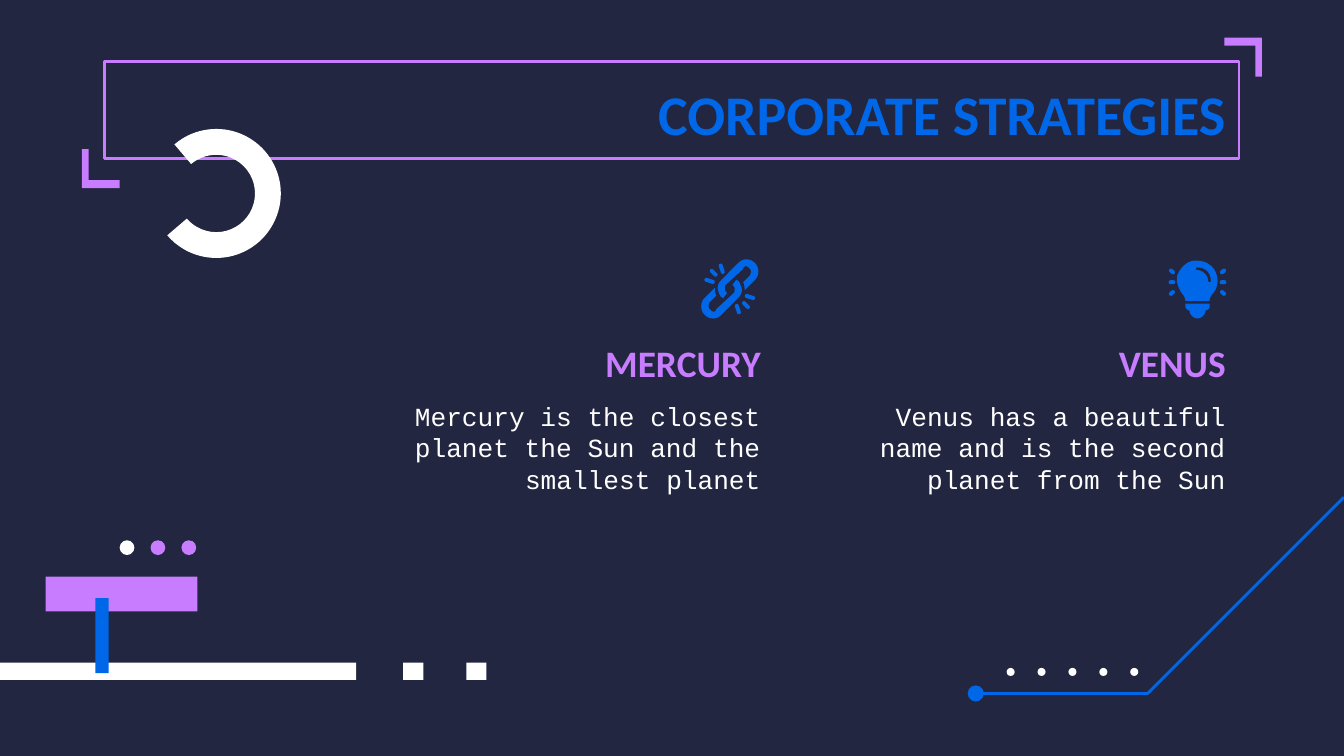
from dataclasses import dataclass

from pptx import Presentation
from pptx.dml.color import RGBColor
from pptx.enum.shapes import MSO_SHAPE
from pptx.enum.text import MSO_ANCHOR, PP_ALIGN
from pptx.util import Inches, Pt

RECT, OVAL = MSO_SHAPE.RECTANGLE, MSO_SHAPE.OVAL
ROUNDED, ARC = MSO_SHAPE.ROUNDED_RECTANGLE, MSO_SHAPE.BLOCK_ARC
TOP, MIDDLE = MSO_ANCHOR.TOP, MSO_ANCHOR.MIDDLE
RIGHT = PP_ALIGN.RIGHT


@dataclass(frozen=True)
class Theme:
    navy: str = "222640"
    white: str = "FFFFFF"
    violet: str = "C87CFF"
    blue: str = "0068E8"
    head_font: str = "Calibri"
    body_font: str = "Courier New"
    title_size: float = 30
    name_size: float = 20
    body_size: float = 14
    line: float = 1.5


@dataclass(frozen=True)
class Planet:
    left: float
    name: str
    text: str


@dataclass(frozen=True)
class Ray:
    x: float
    y: float
    length: float
    angle: float


# A contour is its start point, then (x, y) lines or six-number Bezier curves.
Contour = list[tuple[float, ...]]

THEME = Theme()
PLANETS = [
    Planet(2.6, "MERCURY", "Mercury is the closest planet the Sun and the smallest planet"),
    Planet(6.06, "VENUS", "Venus has a beautiful name and is the second planet from the Sun"),
]
BRACKET: Contour = [(0.61, 1.11), (0.61, 1.4), (0.89, 1.4), (0.89, 1.34), (0.66, 1.34), (0.66, 1.11)]
FRAME_CENTER = (5, 0.84)
LINK: Contour = [
    (5.48, 2.08), (5.45, 2.12), (5.45, 2.12, 5.45, 2.12, 5.46, 2.13),
    (5.47, 2.14, 5.47, 2.17, 5.46, 2.18), (5.33, 2.3),
    (5.33, 2.31, 5.32, 2.32, 5.31, 2.32), (5.3, 2.32, 5.29, 2.31, 5.28, 2.3),
    (5.27, 2.29, 5.27, 2.27, 5.28, 2.25), (5.33, 2.2),
    (5.32, 2.18, 5.32, 2.16, 5.32, 2.14), (5.24, 2.22),
    (5.21, 2.25, 5.21, 2.31, 5.24, 2.34), (5.26, 2.36, 5.28, 2.37, 5.31, 2.37),
    (5.33, 2.37, 5.35, 2.36, 5.37, 2.34), (5.49, 2.22),
    (5.52, 2.19, 5.53, 2.16, 5.51, 2.12), (5.51, 2.12, 5.51, 2.11, 5.5, 2.1),
    (5.5, 2.1, 5.5, 2.09, 5.49, 2.09), (5.49, 2.09, 5.49, 2.09, 5.48, 2.08),
]
LINK_CENTER = (5.43, 2.15)
LINK_RAYS = [Ray(5.31, 2.03, 0.07, 45), Ray(5.37, 2, 0.08, 72), Ray(5.28, 2.09, 0.08, 18)]
BULB: Contour = [
    (8.91, 1.94), (8.9, 1.94, 8.89, 1.94, 8.88, 1.94), (8.82, 1.95, 8.78, 2, 8.76, 2.05),
    (8.75, 2.1, 8.77, 2.15, 8.8, 2.19), (8.81, 2.2, 8.82, 2.22, 8.82, 2.24), (9, 2.24),
    (9, 2.22, 9.01, 2.2, 9.02, 2.19), (9.05, 2.16, 9.06, 2.12, 9.06, 2.09),
    (9.06, 2, 8.99, 1.94, 8.91, 1.94),
]
GLINT: Contour = [
    (8.91, 1.99), (8.97, 1.99, 9.01, 2.03, 9.01, 2.09), (9.01, 2.09, 9.01, 2.1, 9, 2.1),
    (8.99, 2.1, 8.99, 2.09, 8.99, 2.09), (8.99, 2.05, 8.95, 2.01, 8.91, 2.01),
    (8.9, 2.01, 8.9, 2.01, 8.9, 2), (8.9, 1.99, 8.9, 1.99, 8.91, 1.99),
]
BULB_BASE: Contour = [
    (8.82, 2.26), (8.82, 2.28), (8.82, 2.29, 8.83, 2.31, 8.85, 2.31),
    (8.85, 2.34, 8.88, 2.37, 8.91, 2.37), (8.94, 2.37, 8.97, 2.34, 8.97, 2.31),
    (8.99, 2.31, 9, 2.29, 9, 2.28), (9, 2.26),
]
BULB_CENTER = (8.91, 2.1)
BULB_RAYS = [Ray(8.72, 2.1, 0.05, 0), Ray(8.72, 2.02, 0.05, 40), Ray(8.72, 2.18, 0.05, -40)]


def paint(sp, fill: str | None, line: str | None = None) -> None:
    sp.shadow.inherit = False
    if fill:
        sp.fill.solid()
        sp.fill.fore_color.rgb = RGBColor.from_string(fill)
    else:
        sp.fill.background()
    if line:
        sp.line.color.rgb = RGBColor.from_string(line)
        sp.line.width = Pt(THEME.line)
    else:
        sp.line.fill.background()


def add_preset(s, kind, x: float, y: float, w: float, h: float,
               fill: str | None, line: str | None = None):
    sp = s.shapes.add_shape(kind, Inches(x), Inches(y), Inches(w), Inches(h))
    paint(sp, fill, line)
    return sp


def flatten(contour: Contour, steps: int = 8) -> list[tuple[int, int]]:
    """Turn lines and curves into a list of points in EMU."""
    points = [contour[0]]
    for seg in contour[1:]:
        if len(seg) == 2:
            points.append(seg)
            continue
        ends = [points[-1], seg[:2], seg[2:4], seg[4:]]
        for i in range(1, steps + 1):
            t = i / steps
            weights = ((1 - t) ** 3, 3 * t * (1 - t) ** 2, 3 * t * t * (1 - t), t ** 3)
            points.append(tuple(sum(k * e[a] for k, e in zip(weights, ends)) for a in (0, 1)))
    return [(Inches(x), Inches(y)) for x, y in points]


def half_turn(contour: Contour, center: tuple[float, float]) -> Contour:
    return [tuple(2 * center[i % 2] - v for i, v in enumerate(seg)) for seg in contour]


def add_outline(s, contours: list[Contour], fill: str | None,
                line: str | None = None, close: bool = True) -> None:
    first, *rest = [flatten(c) for c in contours]
    builder = s.shapes.build_freeform(*first[0])
    builder.add_line_segments(first[1:], close=close)
    for points in rest:
        builder.move_to(*points[0])
        builder.add_line_segments(points[1:], close=close)
    paint(builder.convert_to_shape(), fill, line)


def add_rays(s, rays: list[Ray], center: tuple[float, float]) -> None:
    """Draw each ray and its half-turned twin."""
    thick = 0.03
    for ray in rays:
        for x, y in ((ray.x, ray.y), (2 * center[0] - ray.x, 2 * center[1] - ray.y)):
            sp = add_preset(s, ROUNDED, x - ray.length / 2, y - thick / 2,
                            ray.length, thick, THEME.blue)
            sp.adjustments[0] = 0.5
            sp.rotation = ray.angle


def add_dots(s, left: float, top: float, size: float, colors: list[str]) -> None:
    for i, color in enumerate(colors):
        add_preset(s, OVAL, left + 0.23 * i, top, size, size, color)


def add_text(s, x: float, y: float, w: float, h: float, text: str, font: str,
             size: float, color: str, bold: bool = False, anchor=TOP) -> None:
    tf = s.shapes.add_textbox(Inches(x), Inches(y), Inches(w), Inches(h)).text_frame
    tf.word_wrap = True
    tf.vertical_anchor = anchor
    tf.margin_left = tf.margin_right = tf.margin_top = tf.margin_bottom = Inches(0.1)
    p = tf.paragraphs[0]
    p.alignment = RIGHT
    r = p.add_run()
    r.text = text
    r.font.name, r.font.size, r.font.bold = font, Pt(size), bold
    r.font.color.rgb = RGBColor.from_string(color)


def add_decoration(s) -> None:
    for x, w in ((0, 2.65), (3, 0.15), (3.47, 0.15)):
        add_preset(s, RECT, x, 4.93, w, 0.13, THEME.white)
    add_preset(s, RECT, 0.34, 4.29, 1.13, 0.26, THEME.violet)
    add_preset(s, RECT, 0.71, 4.45, 0.1, 0.56, THEME.blue)
    add_preset(s, OVAL, 7.2, 5.1, 0.12, 0.12, THEME.blue)
    add_outline(s, [[(10, 3.7), (8.54, 5.16), (7.26, 5.16)]], None, THEME.blue, close=False)
    add_dots(s, 7.49, 4.97, 0.06, [THEME.white] * 5)
    add_dots(s, 0.89, 4.02, 0.11, [THEME.white, THEME.violet, THEME.violet])


def add_title(s) -> None:
    add_preset(s, RECT, 0.78, 0.46, 8.44, 0.72, None, THEME.violet)
    for bracket in (BRACKET, half_turn(BRACKET, FRAME_CENTER)):
        add_outline(s, [bracket], THEME.violet)
    add_text(s, 0.78, 0.49, 8.44, 0.68, "CORPORATE STRATEGIES",
             THEME.head_font, THEME.title_size, THEME.blue, bold=True)


def main() -> None:
    prs = Presentation()
    prs.slide_width = Inches(10)
    prs.slide_height = Inches(10 * 9 / 16)
    s = prs.slides.add_slide(prs.slide_layouts[6])
    s.background.fill.solid()
    s.background.fill.fore_color.rgb = RGBColor.from_string(THEME.navy)

    add_decoration(s)
    add_title(s)
    for planet in PLANETS:
        add_text(s, planet.left, 2.43, 3.16, 0.5, planet.name,
                 THEME.head_font, THEME.name_size, THEME.violet, bold=True)
        add_text(s, planet.left, 2.91, 3.16, 0.84, planet.text,
                 THEME.body_font, THEME.body_size, THEME.white, anchor=MIDDLE)

    ring = add_preset(s, ARC, 1.13, 0.96, 0.96, 0.96, THEME.white)
    degree = 0.6  # adjustments count 60000ths of a degree per 100000
    ring.adjustments[0], ring.adjustments[1] = 229.5 * degree, 139.5 * degree
    ring.adjustments[2] = 0.2

    add_rays(s, LINK_RAYS, LINK_CENTER)
    for link in (LINK, half_turn(LINK, LINK_CENTER)):
        add_outline(s, [link], THEME.blue)
    add_rays(s, BULB_RAYS, BULB_CENTER)
    add_outline(s, [BULB_BASE], THEME.blue)
    add_outline(s, [BULB, GLINT], THEME.blue)
    prs.save("out.pptx")


if __name__ == "__main__":
    main()
